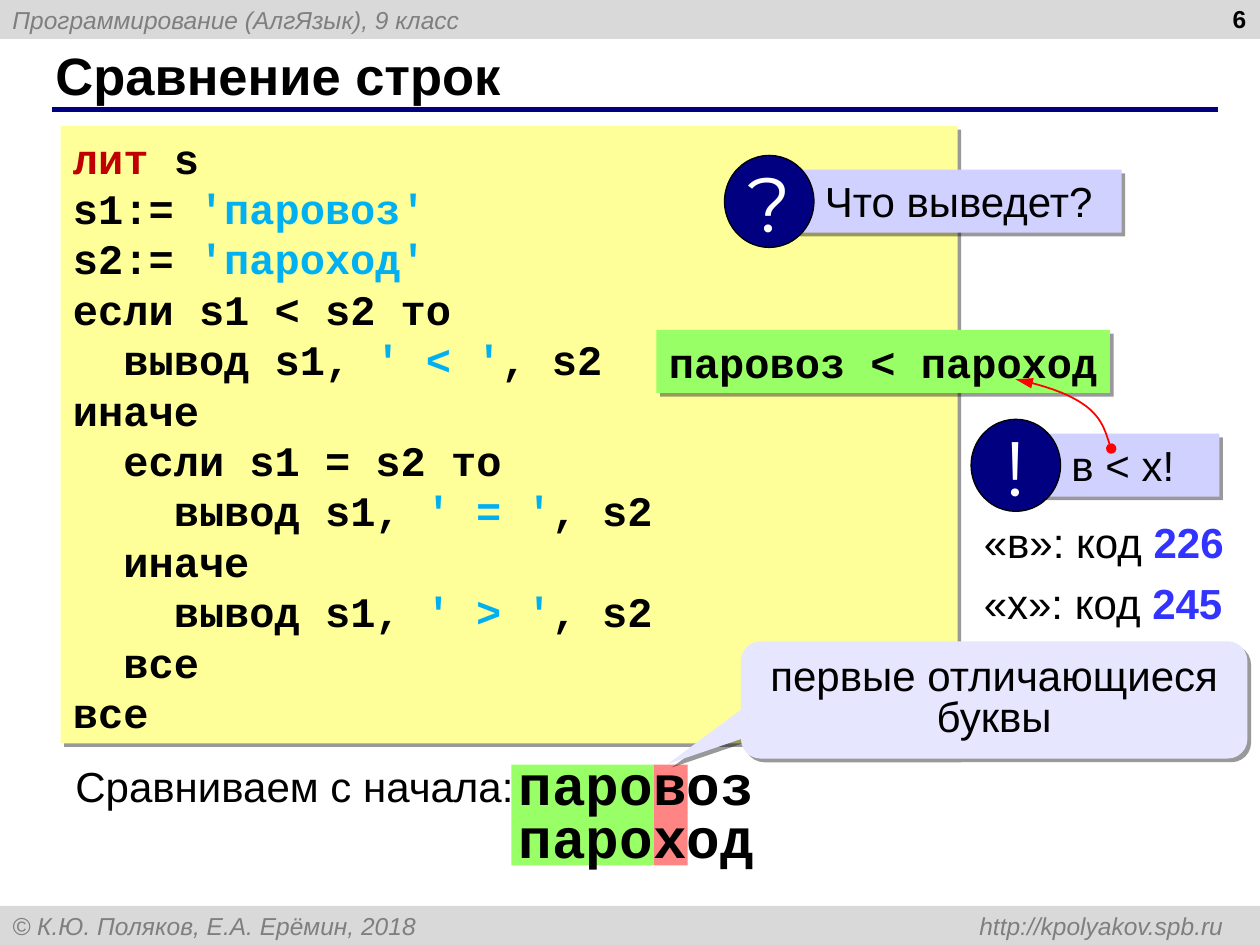
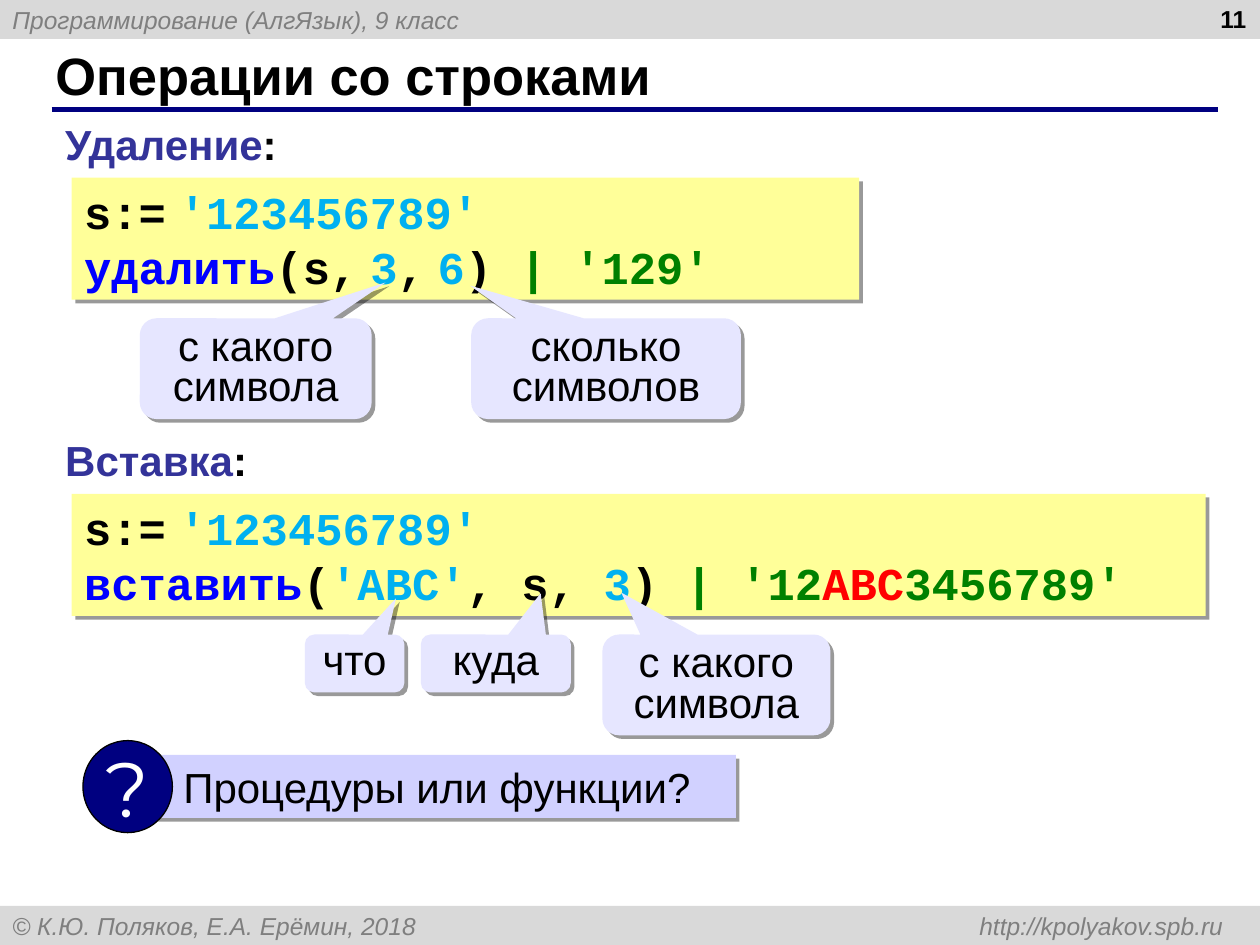
from lxml.etree import SubElement
from pptx import Presentation
from pptx.dml.color import RGBColor
from pptx.enum.shapes import MSO_CONNECTOR, MSO_SHAPE
from pptx.enum.text import MSO_ANCHOR, MSO_AUTO_SIZE, PP_ALIGN
from pptx.oxml.ns import qn
from pptx.util import Pt

# Colours
BLACK = RGBColor(0x00, 0x00, 0x00)
WHITE = RGBColor(0xFF, 0xFF, 0xFF)
NAVY = RGBColor(0x00, 0x00, 0x80)
BAND_GREY = RGBColor(0xD9, 0xD9, 0xD9)
BAND_TEXT = RGBColor(0x7F, 0x7F, 0x7F)
CODE_YELLOW = RGBColor(0xFF, 0xFF, 0x99)
NOTE_LILAC = RGBColor(0xD1, 0xD1, 0xFF)
CALLOUT_LILAC = RGBColor(0xE6, 0xE6, 0xFF)
SAME_GREEN = RGBColor(0x99, 0xFF, 0x66)
DIFFERENT_PINK = RGBColor(0xFF, 0x85, 0x85)
HEADING_BLUE = RGBColor(0x33, 0x33, 0x99)
NUMBER_BLUE = RGBColor(0x33, 0x33, 0xFF)
TYPE_RED = RGBColor(0xC0, 0x00, 0x00)
LITERAL_CYAN = RGBColor(0x00, 0xB0, 0xF0)
COMMAND_BLUE = RGBColor(0x00, 0x00, 0xFF)
COMMENT_GREEN = RGBColor(0x00, 0x80, 0x00)
RED = RGBColor(0xFF, 0x00, 0x00)

# Text formats
BODY = {"name": "Arial", "size": Pt(24), "color": BLACK}
TITLE = {**BODY, "size": Pt(30), "bold": True}
PAGE_NUMBER = {**BODY, "size": Pt(14), "bold": True}
BAND = {"name": "Arial", "size": Pt(14), "color": BAND_TEXT, "italic": True}
CODE = {"name": "Courier New", "size": Pt(24), "color": BLACK, "bold": True}
BIG_CODE = {**CODE, "size": Pt(26)}
LETTERS = {**CODE, "size": Pt(32)}
BADGE = {"name": "Montserrat", "size": Pt(44), "color": WHITE}

# Overrides for single spans
LITERAL = {"color": LITERAL_CYAN}
COMMENT = {"color": COMMENT_GREEN}
COMMAND = {"color": COMMAND_BLUE}
CODE_NUMBER = {"color": NUMBER_BLUE, "bold": True}
NARROW_SPACE = (" ", {"name": "Arial"})


def write(shape, lines, style, align=PP_ALIGN.LEFT, anchor=MSO_ANCHOR.TOP,
          wrap=True, spacing=None, indent=7.2):
    """Fill a shape; a line is a list of strings or (string, overrides)."""
    frame = shape.text_frame
    settings = {"word_wrap": wrap, "vertical_anchor": anchor,
                "auto_size": MSO_AUTO_SIZE.NONE,
                "margin_left": Pt(indent), "margin_right": Pt(7.2),
                "margin_top": Pt(3.6), "margin_bottom": Pt(3.6)}
    for name, value in settings.items():
        setattr(frame, name, value)
    for number, line in enumerate(lines):
        para = frame.add_paragraph() if number else frame.paragraphs[0]
        para.alignment = align
        if spacing:
            para.line_spacing = spacing
        for part in line:
            text, changes = part if isinstance(part, tuple) else (part, {})
            span = para.add_run()
            span.text = text
            for name, value in {**style, **changes}.items():
                if name == "color":
                    span.font.color.rgb = value
                else:
                    setattr(span.font, name, value)


def add_text(page, box, lines, style, **options):
    label = page.shapes.add_textbox(*map(Pt, box))
    write(label, lines, style, **options)


def add_block(page, box, fill, kind=MSO_SHAPE.RECTANGLE, shadow=False):
    block = page.shapes.add_shape(kind, *map(Pt, box))
    block.fill.solid()
    block.fill.fore_color.rgb = fill
    block.line.fill.background()
    block.shadow.inherit = False
    if shadow:
        effects = block._element.spPr.find(qn("a:effectLst"))
        outer = SubElement(effects, qn("a:outerShdw"), blurRad="0",
                           dist=str(Pt(3)), dir="2700000", algn="ctr",
                           rotWithShape="0")
        colour = SubElement(outer, qn("a:srgbClr"), val=str(BLACK))
        SubElement(colour, qn("a:alpha"), val="40000")
    return block


def add_code(page, box, lines, style, fill=CODE_YELLOW, **options):
    write(add_block(page, box, fill, shadow=True), lines, style, **options)


def add_callout(page, box, tip, text, anchor=MSO_ANCHOR.TOP):
    callout = add_block(page, box, CALLOUT_LILAC,
                        MSO_SHAPE.ROUNDED_RECTANGULAR_CALLOUT, shadow=True)
    callout.adjustments[0], callout.adjustments[1] = tip
    write(callout, [[text]], BODY, align=PP_ALIGN.CENTER, anchor=anchor,
          spacing=0.8)


def add_note(page, left, top, width, sign, text):
    """A lilac strip with a round sign over its left end."""
    strip = add_block(page, (left, top, width, 36), NOTE_LILAC, shadow=True)
    write(strip, [[text]], BODY, indent=20.5)
    badge = add_block(page, (left - 36.9, top - 8.2, 51.1, 52.6), NAVY,
                      MSO_SHAPE.OVAL)
    badge.line.color.rgb = BLACK
    badge.line.width = Pt(0.75)
    write(badge, [[sign]], BADGE, align=PP_ALIGN.CENTER,
          anchor=MSO_ANCHOR.MIDDLE, wrap=False)


def add_curved_arrow(page, *controls):
    """A cubic curve through sampled points, dot at start, arrow at end."""
    steps = 24
    points = []
    for step in range(steps + 1):
        t = step / steps
        weights = ((1 - t) ** 3, 3 * t * (1 - t) ** 2, 3 * t * t * (1 - t), t ** 3)
        points.append(tuple(
            Pt(sum(w * control[axis] for w, control in zip(weights, controls)))
            for axis in (0, 1)))
    builder = page.shapes.build_freeform(*points[0])
    builder.add_line_segments(points[1:], close=False)
    curve = builder.convert_to_shape()
    curve.fill.background()
    curve.shadow.inherit = False
    curve.line.color.rgb = RED
    curve.line.width = Pt(1)
    line = curve.line._get_or_add_ln()
    SubElement(line, qn("a:headEnd"), type="oval")
    SubElement(line, qn("a:tailEnd"), type="triangle", w="med", len="lg")


def add_band(page, top, text, tab=None):
    band = add_block(page, (0, top, 720, 22.3), BAND_GREY)
    if tab:
        properties = band.text_frame.paragraphs[0]._p.get_or_add_pPr()
        tabs = SubElement(properties, qn("a:tabLst"))
        SubElement(tabs, qn("a:tab"), pos=str(Pt(tab)), algn="r")
    write(band, [[text]], BAND, anchor=MSO_ANCHOR.MIDDLE)


def add_page(deck, title, number):
    """A slide with the shared bands, title, rule and page number."""
    page = deck.slides.add_slide(deck.slide_layouts[5])
    add_band(page, 0, "Программирование (АлгЯзык), 9 класс")
    add_band(page, 517.7,
             "© К.Ю. Поляков, Е.А. Ерёмин, 2018 \thttp://kpolyakov.spb.ru",
             tab=692)
    rule = page.shapes.add_connector(MSO_CONNECTOR.STRAIGHT, Pt(29.5), Pt(62.6),
                                     Pt(696.2), Pt(62.6))
    rule.line.color.rgb = NAVY
    rule.line.width = Pt(3)
    SubElement(rule._element.spPr, qn("a:effectLst"))

    heading = page.shapes.title
    heading.left, heading.top, heading.width, heading.height = map(
        Pt, (24.5, 23.8, 659.5, 37.4))
    write(heading, [[title]], TITLE, anchor=MSO_ANCHOR.MIDDLE)
    add_text(page, (551.5, -1.4, 167.8, 37.4), [[str(number)]], PAGE_NUMBER,
             align=PP_ALIGN.RIGHT)
    return page


def output_line(indent, sign):
    return [indent + "вывод s1, ", (f"' {sign} '", LITERAL), ", s2"]


def add_letter_comparison(page, left, top):
    """Two words one above the other, with the common start marked."""
    add_block(page, (left + 81.1, top, 19.6, 57.6), DIFFERENT_PINK)
    add_block(page, (left, top, 81.4, 57.6), SAME_GREEN)


def build_comparison(deck):
    page = add_page(deck, "Сравнение строк", 6)
    add_letter_comparison(page, 292.3, 437)

    # Program and its result
    add_code(page, (34.6, 72, 512.6, 352.8), [
        [("лит ", {"color": TYPE_RED}), "s"],
        ["s1:= ", ("'паровоз'", LITERAL)],
        ["s2:= ", ("'пароход'", LITERAL)],
        ["если s1 < s2 то"],
        output_line("  ", "<"),
        ["иначе"],
        ["  если s1 = s2 то"],
        output_line("    ", "="),
        ["  иначе"],
        output_line("    ", ">"),
        ["  все"],
        ["все"],
    ], CODE)
    add_note(page, 450.9, 97, 190, "?", "Что выведет?")
    add_code(page, (375.1, 188.6, 259.2, 36), [["паровоз < пароход"]], CODE,
             fill=SAME_GREEN, wrap=False)

    # Words compared letter by letter
    add_callout(page, (423.4, 366.5, 289.4, 67), (-0.644, 0.545),
                "первые отличающиеся буквы", anchor=MSO_ANCHOR.MIDDLE)
    add_text(page, (289.4, 432, 149, 69.1), [["паровоз"], ["пароход"]], LETTERS,
             wrap=False, spacing=0.8)
    add_text(page, (36, 431.3, 265.7, 36), [["Сравниваем с начала:"]], BODY,
             wrap=False)

    # Letter codes
    add_note(page, 591.8, 247.8, 105, "!", "в < х!")
    add_curved_arrow(page, (635, 256.3), (630, 244), (631.4, 227.5), (580.3, 216.7))
    for row, (letter, code) in enumerate((("в", "226"), ("х", "245"))):
        add_text(page, (555.1, 291.6 + 34.6 * row, 151.2, 36),
                 [[f"«{letter}»: код ", (code, CODE_NUMBER)]], BODY, wrap=False)


def add_operation(page, left, top, name, width, call, callouts):
    """A heading, a code box and callouts that explain the arguments."""
    add_text(page, (left, top, 393.8, 36),
             [[(name, {"color": HEADING_BLUE}), ":"]], {**BODY, "bold": True})
    assignment = ["s:=", NARROW_SPACE, ("'123456789'", LITERAL)]
    add_code(page, (left + 10.8, top + 37.4, width, 69.8), [assignment, call],
             BIG_CODE, anchor=MSO_ANCHOR.MIDDLE)
    for shift, callout_width, tip, text in callouts:
        height = 57.6 if " " in text else 33.1
        add_callout(page, (left + shift, top + 117.8, callout_width, height),
                    tip, text)


def build_operations(deck):
    page = add_page(deck, "Операции со строками", 11)
    add_operation(
        page, 30.2, 64.1, "Удаление", 450,
        [("удалить", COMMAND), "(s,", NARROW_SPACE, ("3", LITERAL), ",",
         NARROW_SPACE, ("6", LITERAL), ") ", ("| '129'", COMMENT)],
        [(49.7, 132.5, (0.56, -0.855), "с какого символа"),
         (239.1, 154.1, (-0.505, -0.825), "сколько символов")])
    add_operation(
        page, 30.2, 244.8, "Вставка", 648,
        [("вставить", COMMAND), "(", ("'ABC'", LITERAL), ", s, ",
         ("3", LITERAL), ") ", ("| '12", COMMENT), ("ABC", {"color": RED}),
         ("3456789'", COMMENT)],
        [(144, 56.9, (0.416, -1.125), "что"),
         (210.3, 85.7, (0.299, -1.212), "куда"),
         (314, 130.3, (-0.417, -0.916), "с какого символа")])
    add_note(page, 84.3, 431.4, 336.2, "?", "Процедуры или функции?")


def main():
    deck = Presentation()
    deck.slide_width, deck.slide_height = Pt(720), Pt(540)
    build_comparison(deck)
    build_operations(deck)
    deck.save("out.pptx")


if __name__ == "__main__":
    main()
